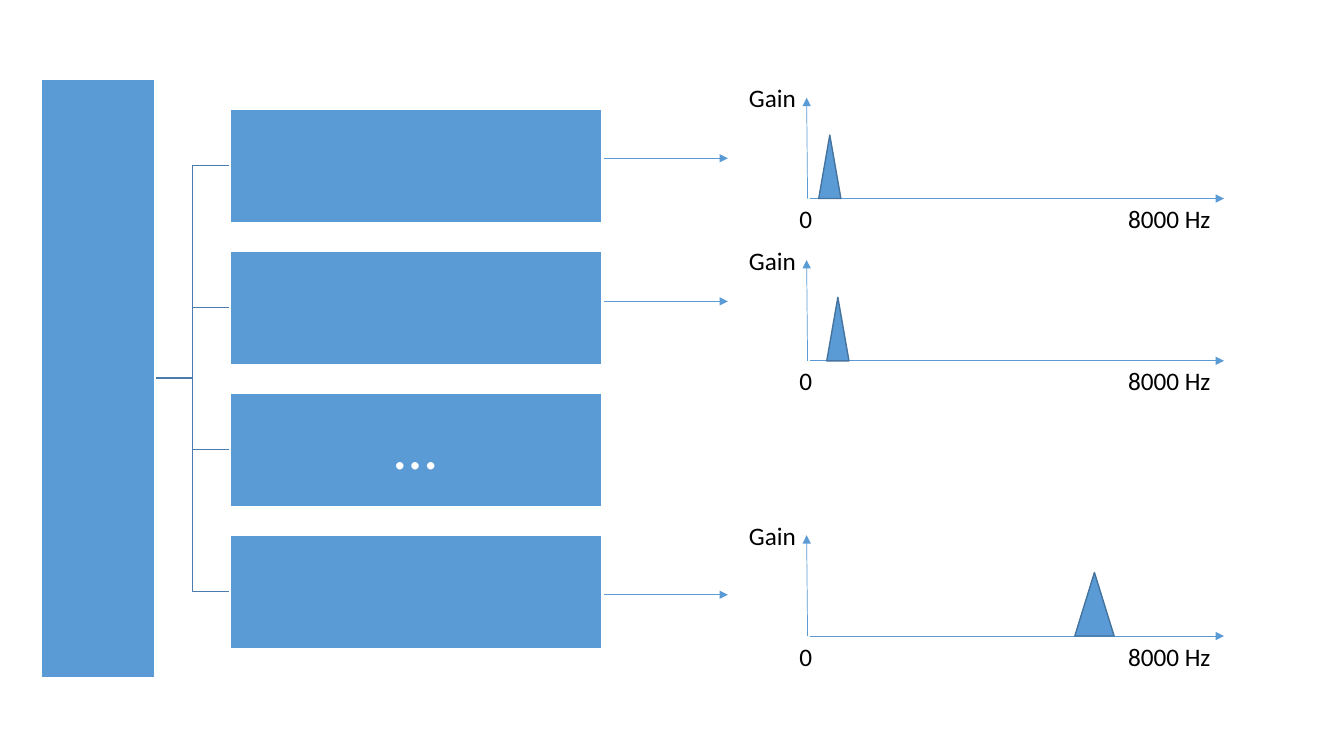
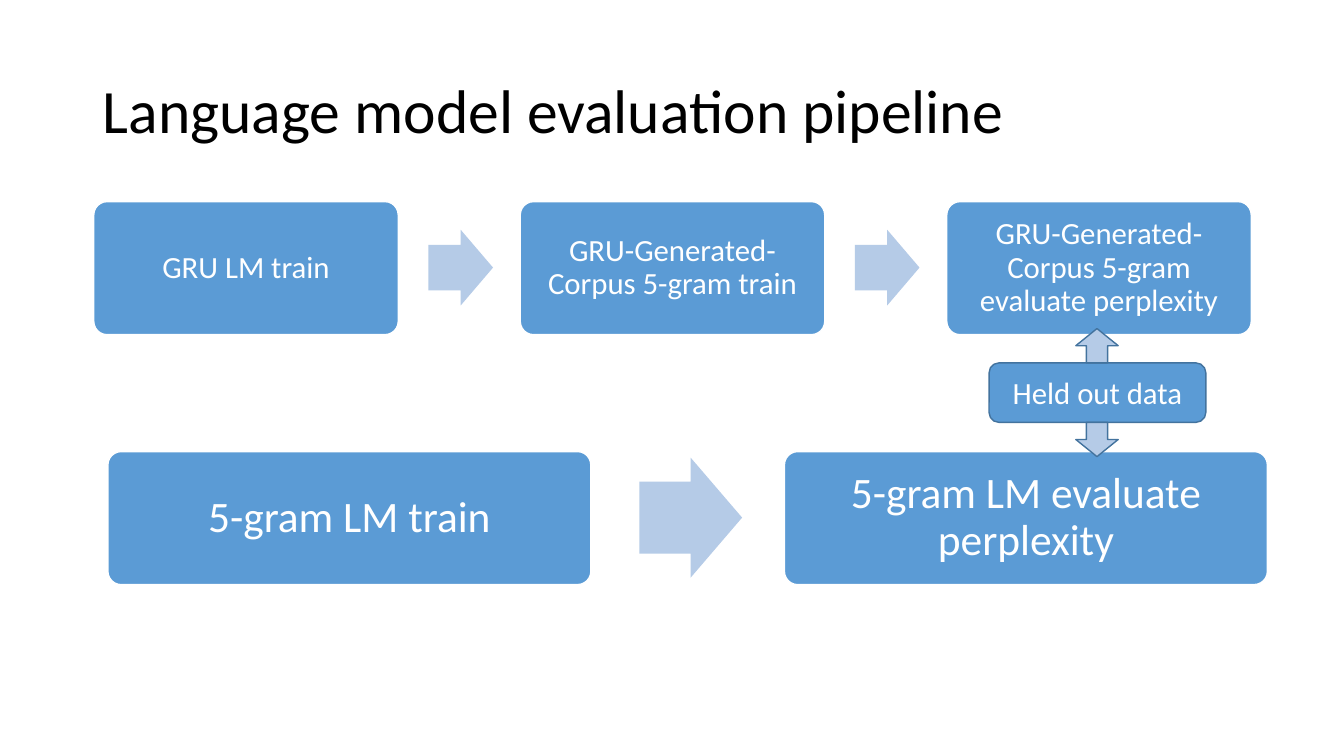
from typing import NamedTuple, Optional

from pptx import Presentation
from pptx import oxml, slide as sl, util as u
from pptx.dml import color
from pptx.enum import shapes, text
from pptx.oxml import ns

FONT = "Calibri"
BLUE, PALE_BLUE, EDGE = "5B9BD5", "B5CBE7", "43739E"
BRACKET, WHITE, BLACK = "497CAB", "FFFFFF", "000000"
CENTER = text.PP_ALIGN.CENTER
LEFT = text.PP_ALIGN.LEFT
Kind = shapes.MSO_SHAPE


class Area(NamedTuple):
    left: float
    top: float
    width: float
    height: float

    def lengths(self) -> list:
        return [u.Inches(value) for value in self]


class Plot(NamedTuple):
    """A gain plot: height of its axis, and the passband of its filter."""
    axis_y: float
    band_left: float
    band_width: float


class Pipeline(NamedTuple):
    """A row of equal steps with an arrow in each gap."""
    steps: tuple
    first: Area
    pitch: float
    arrow: Area
    size: float
    inset: float


def rgb(value: str) -> color.RGBColor:
    return color.RGBColor.from_string(value)


def write(frame, words: str, size: float, ink: str, align=LEFT,
          spacing: Optional[float] = None) -> None:
    para = frame.paragraphs[0]
    para.alignment = align
    if spacing:
        para.line_spacing = spacing
    span = para.add_run()
    span.text = words
    span.font.name = FONT
    span.font.size = u.Pt(size)
    span.font.color.rgb = rgb(ink)


def set_insets(frame, inset: float) -> None:
    frame.margin_left = frame.margin_right = u.Inches(inset)
    frame.margin_top = frame.margin_bottom = u.Inches(inset)


def add_box(page: sl.Slide, kind, area: Area, fill: str = BLUE,
            edge: Optional[str] = None, adjust: tuple = ()):
    box = page.shapes.add_shape(kind, *area.lengths())
    box.shadow.inherit = False
    box.fill.solid()
    box.fill.fore_color.rgb = rgb(fill)
    if edge:
        box.line.color.rgb = rgb(edge)
        box.line.width = u.Pt(1)
    else:
        box.line.fill.background()
    for index, value in enumerate(adjust):
        box.adjustments[index] = value
    box.text_frame.vertical_anchor = text.MSO_ANCHOR.MIDDLE
    return box


def add_arrow(page: sl.Slide, x1: float, y1: float, x2: float, y2: float) -> None:
    line = page.shapes.add_connector(
        shapes.MSO_CONNECTOR.STRAIGHT, *[u.Inches(v) for v in (x1, y1, x2, y2)])
    line.line.color.rgb = rgb(BLUE)
    line.line.width = u.Pt(0.5)
    properties = line.element.spPr
    tail = oxml.parse_xml(f'<a:tailEnd {ns.nsdecls("a")} type="triangle"/>')
    properties.find(ns.qn("a:ln")).append(tail)
    properties.append(oxml.parse_xml(f'<a:effectLst {ns.nsdecls("a")}/>'))


def add_label(page: sl.Slide, words: str, area: Area) -> None:
    frame = page.shapes.add_textbox(*area.lengths()).text_frame
    frame.word_wrap = False
    frame.auto_size = text.MSO_AUTO_SIZE.SHAPE_TO_FIT_TEXT
    write(frame, words, 18, BLACK)


def add_branch(page: sl.Slide, y: float) -> None:
    """Elbow from the source bar to the filter centred at y."""
    points = [(u.Inches(px), u.Inches(py)) for px, py in
              ((1.54, 3.75), (1.91, 3.75), (1.91, y), (2.28, y))]
    builder = page.shapes.build_freeform(*points[0])
    builder.add_line_segments(points[1:], close=False)
    branch = builder.convert_to_shape()
    branch.shadow.inherit = False
    branch.fill.background()
    branch.line.color.rgb = rgb(BRACKET)
    branch.line.width = u.Pt(1)


def add_plot(page: sl.Slide, plot: Plot) -> None:
    y = plot.axis_y
    add_label(page, "0", Area(7.83, y, 0.39, 0.4))
    add_label(page, "Gain", Area(7.33, y - 1.2, 0.67, 0.4))
    add_label(page, "8000 Hz", Area(11.09, y, 1.09, 0.4))
    add_arrow(page, 8.03, y, 12.14, y)
    add_box(page, Kind.ISOSCELES_TRIANGLE,
            Area(plot.band_left, y - 0.63, plot.band_width, 0.63), edge=EDGE)
    add_arrow(page, 8.01, y, 8, y - 1)


def add_pipeline(page: sl.Slide, row: Pipeline) -> None:
    for index, step in enumerate(row.steps):
        shift = index * row.pitch
        if index:
            spot = row.arrow._replace(left=row.arrow.left + shift - row.pitch)
            add_box(page, Kind.RIGHT_ARROW, spot, PALE_BLUE, adjust=(0.6, 0.5))
        spot = row.first._replace(left=row.first.left + shift)
        box = add_box(page, Kind.ROUNDED_RECTANGLE, spot, edge=WHITE, adjust=(0.1,))
        set_insets(box.text_frame, row.inset)
        write(box.text_frame, step, row.size, WHITE, CENTER, 0.9)


def build_filter_bank(deck) -> None:
    page = deck.slides.add_slide(deck.slide_layouts[6])
    filters = ("", "", "…", "")
    centers = [1.64 + 1.41 * index for index in range(len(filters))]

    # Source bar and its branches
    for y in centers:
        add_branch(page, y)
    add_box(page, Kind.RECTANGLE, Area(0.41, 0.79, 1.13, 5.93), edge=WHITE)

    # Filters
    for y, words in zip(centers, filters):
        box = add_box(page, Kind.RECTANGLE, Area(2.28, y - 0.56, 3.69, 1.13), edge=WHITE)
        if words:
            set_insets(box.text_frame, 0.03)
            write(box.text_frame, words, 44, WHITE, CENTER, 0.9)

    # Responses
    for y in (1.57, 2.99, 5.9):
        add_arrow(page, 5.99, y, 7.22, y)
    for plot in (Plot(1.97, 8.12, 0.22), Plot(3.58, 8.2, 0.22), Plot(6.31, 10.66, 0.39)):
        add_plot(page, plot)


def build_evaluation(deck) -> None:
    page = deck.slides.add_slide(deck.slide_layouts[5])
    title = page.shapes.title
    title.left, title.top, title.width, title.height = Area(0.92, 0.4, 11.5, 1.45).lengths()
    title.text_frame.vertical_anchor = text.MSO_ANCHOR.MIDDLE
    write(title.text_frame, "Language model evaluation pipeline", 44, BLACK, spacing=0.9)

    # Two training pipelines
    add_pipeline(page, Pipeline(
        ("GRU LM train", "GRU-Generated-Corpus 5-gram train",
         "GRU-Generated-Corpus 5-gram evaluate perplexity"),
        Area(0.93, 2, 3.02, 1.32), 4.23, Area(4.25, 2.28, 0.64, 0.75), 22, 0.09))
    add_pipeline(page, Pipeline(
        ("5-gram LM train", "5-gram LM evaluate perplexity"),
        Area(1.07, 4.48, 4.79, 1.32), 6.71, Area(6.34, 4.54, 1.02, 1.19), 31, 0.13))

    # Shared test data
    data = add_box(page, Kind.ROUNDED_RECTANGLE, Area(9.81, 3.6, 2.15, 0.59), edge=EDGE)
    write(data.text_frame, "Held out data", 22, WHITE, CENTER)
    for kind, top in ((Kind.UP_ARROW, 3.26), (Kind.DOWN_ARROW, 4.19)):
        add_box(page, kind, Area(10.67, top, 0.42, 0.34), PALE_BLUE, EDGE)


def main() -> None:
    deck = Presentation()
    deck.slide_width, deck.slide_height = u.Inches(13.33), u.Inches(7.5)
    build_filter_bank(deck)
    build_evaluation(deck)
    deck.save("out.pptx")


if __name__ == "__main__":
    main()
